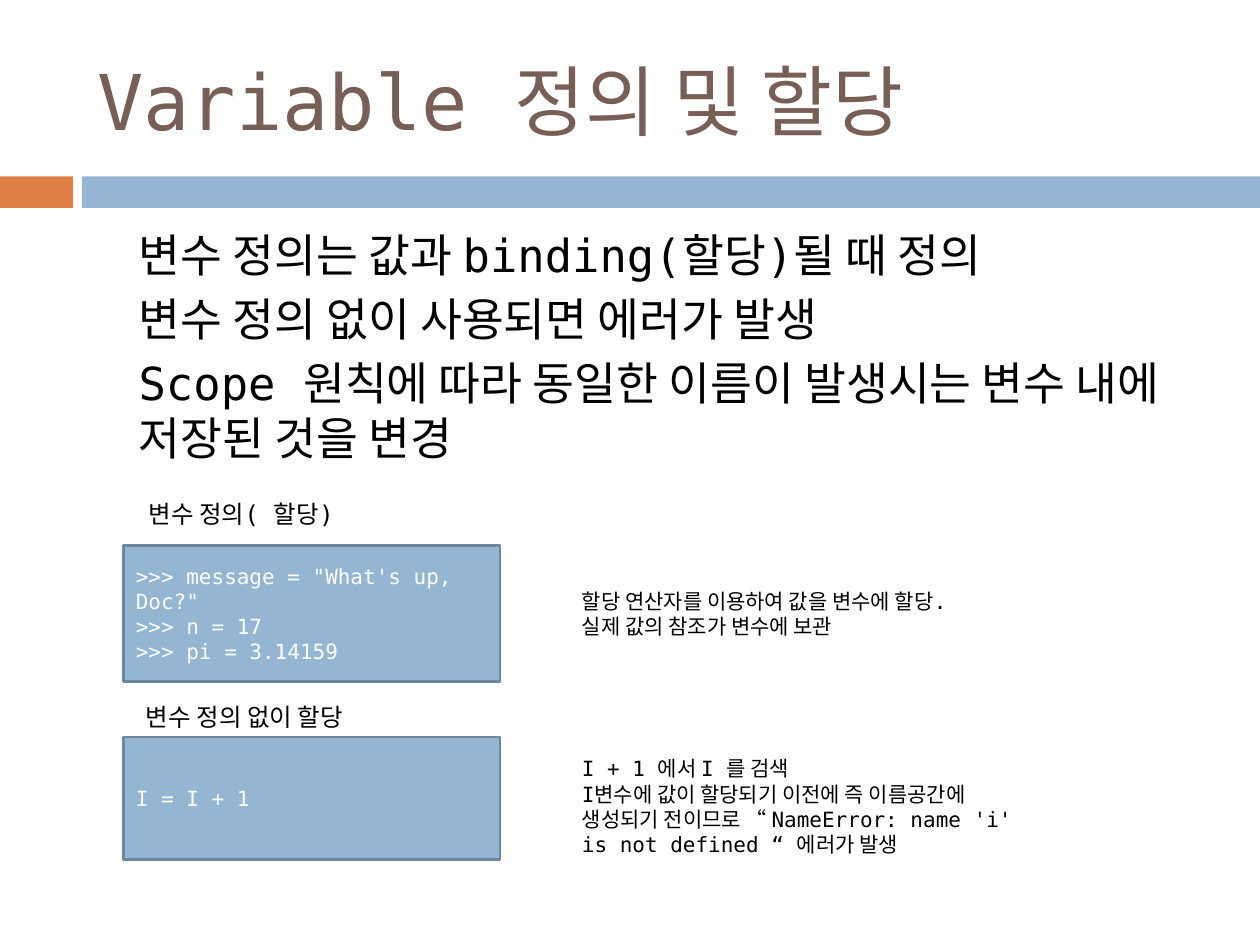
from dataclasses import dataclass
from typing import Optional

from pptx import Presentation
from pptx.dml.color import RGBColor as Rgb
from pptx.enum.shapes import MSO_SHAPE as Kind
from pptx.enum.text import MSO_ANCHOR as Anchor, MSO_AUTO_SIZE as Fit, PP_ALIGN as Align
from pptx.oxml.ns import qn
from pptx.util import Inches, Pt


@dataclass(frozen=True)
class Theme:
    """Colours, font and type sizes."""
    font: str = "DejaVu Sans Mono"
    blue: str = "94B6D2"
    edge: str = "6D879B"
    rust: str = "DD8047"
    brown: str = "775F55"
    black: str = "000000"
    white: str = "FFFFFF"
    head: int = 44
    list: int = 26
    label: int = 14
    code: int = 12


@dataclass(frozen=True)
class Area:
    """Place in cells of a 100 by 75 grid."""
    x: float
    y: float
    w: float
    h: float


@dataclass(frozen=True)
class Sample:
    """Labelled code box with a note beside it."""
    label: str
    tag: Area
    code: str
    box: Area
    note: str
    side: Area


LOOK = Theme()
WIDE, HIGH = Inches(10), Inches(7.5)
COLS, ROWS = 100, 75
BOX_X, BOX_W = 9.8, 29.9
NOTE_X, NOTE_W = 45.2, 36.2
TAG_W, TAG_H = 25.2, 3.4

TITLE = "Variable 정의 및 할당"
POINTS = """변수 정의는 값과 binding(할당)될 때 정의
변수 정의 없이 사용되면 에러가 발생
Scope 원칙에 따라 동일한 이름이 발생시는 변수 내에 저장된 것을 변경"""
BANDS = ((Area(0, 14, 5.8, 2.5), LOOK.rust), (Area(6.5, 14, 93.5, 2.5), LOOK.blue))
SAMPLES = (
    Sample(
        "변수 정의( 할당)", Area(10.8, 39.1, TAG_W, TAG_H),
        ">>> message = \"What's up, Doc?\"\n>>> n = 17\n>>> pi = 3.14159",
        Area(BOX_X, 43.3, BOX_W, 10.8),
        "할당 연산자를 이용하여 값을 변수에 할당.\n실제 값의 참조가 변수에 보관",
        Area(NOTE_X, 46.2, NOTE_W, 5),
    ),
    Sample(
        "변수 정의 없이 할당", Area(10.6, 55.2, TAG_W, TAG_H),
        "I = I + 1", Area(BOX_X, 58.5, BOX_W, 9.7),
        "I + 1 에서 I 를 검색\nI변수에 값이 할당되기 이전에 즉 이름공간에 생성되기 전이므로 "
        "“ NameError: name 'i' is not defined “ 에러가 발생",
        Area(NOTE_X, 59.5, NOTE_W, 9.1),
    ),
)


def frame(area: Area) -> tuple[int, int, int, int]:
    """Turn grid cells into slide lengths."""
    return (int(WIDE * area.x / COLS), int(HIGH * area.y / ROWS),
            int(WIDE * area.w / COLS), int(HIGH * area.h / ROWS))


def write(shape, text: str, size: int, tint: str, anchor=Anchor.TOP) -> None:
    """Fill a shape with left-aligned text."""
    body = shape.text_frame
    body.text = text
    body.word_wrap = True
    body.auto_size = Fit.NONE
    body.vertical_anchor = anchor
    for para in body.paragraphs:
        para.alignment = Align.LEFT
        for run in para.runs:
            run.font.name = LOOK.font
            run.font.size = Pt(size)
            run.font.color.rgb = Rgb.from_string(tint)


def block(slide, area: Area, fill: str, edge: Optional[str] = None):
    """Draw a flat rectangle."""
    shape = slide.shapes.add_shape(Kind.RECTANGLE, *frame(area))
    shape.shadow.inherit = False
    shape.fill.solid()
    shape.fill.fore_color.rgb = Rgb.from_string(fill)
    if edge:
        shape.line.color.rgb = Rgb.from_string(edge)
        shape.line.width = Pt(1.5)
    else:
        shape.line.fill.background()
    return shape


def label(slide, area: Area, text: str, size: int) -> None:
    """Add a plain text box."""
    write(slide.shapes.add_textbox(*frame(area)), text, size, LOOK.black)


def place(shape, area: Area) -> None:
    """Move a placeholder."""
    shape.left, shape.top, shape.width, shape.height = frame(area)


def points(shape) -> None:
    """Write the list at its second level, without bullets."""
    write(shape, POINTS, LOOK.list, LOOK.black)
    for rank, para in enumerate(shape.text_frame.paragraphs):
        para.level = 1
        props = para._p.get_or_add_pPr()
        props.set("marL", str(Inches(0.5)))
        props.set("indent", "0")
        props.append(props.makeelement(qn("a:buNone"), {}))
        para.space_before = Pt(5.5 if rank else 0)


def sample(slide, item: Sample) -> None:
    """Draw one sample with its label and note."""
    label(slide, item.tag, item.label, LOOK.label)
    box = block(slide, item.box, LOOK.blue, LOOK.edge)
    write(box, item.code, LOOK.code, LOOK.white, Anchor.MIDDLE)
    label(slide, item.side, item.note, LOOK.code)


def main() -> None:
    """Build and save the slide."""
    deck = Presentation()
    deck.slide_width, deck.slide_height = WIDE, HIGH
    slide = deck.slides.add_slide(deck.slide_layouts[1])
    for area, fill in BANDS:
        block(slide, area, fill)
    title, body = slide.placeholders
    place(title, Area(6.7, 2.5, 89.2, 10.8))
    write(title, TITLE, LOOK.head, LOOK.brown, Anchor.MIDDLE)
    place(body, Area(5, 17.5, 90, 19.2))
    points(body)
    for item in SAMPLES:
        sample(slide, item)
    deck.save("out.pptx")


if __name__ == "__main__":
    main()
